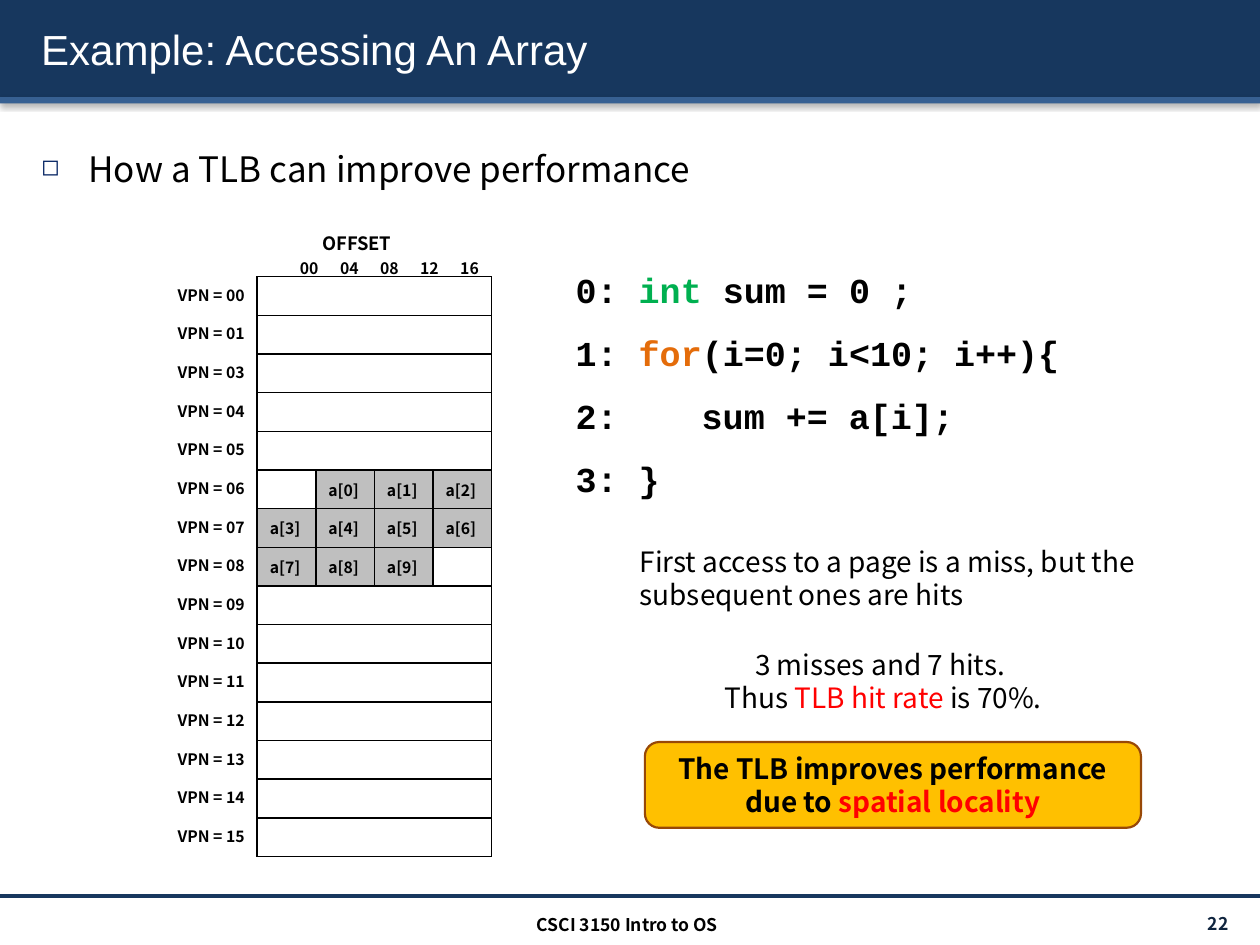
from lxml.etree import SubElement
from pptx import Presentation
from pptx.dml.color import RGBColor
from pptx.enum.shapes import MSO_CONNECTOR as CONN, MSO_SHAPE as SHAPE
from pptx.enum.text import MSO_ANCHOR as ANCHOR, PP_ALIGN as ALIGN
from pptx.oxml.ns import qn
from pptx.util import Pt

BLACK = RGBColor(0x00, 0x00, 0x00)
WHITE = RGBColor(0xFF, 0xFF, 0xFF)
NAVY = RGBColor(0x17, 0x37, 0x5E)
BLUE = RGBColor(0x37, 0x60, 0x92)
DARK = RGBColor(0x0F, 0x24, 0x3E)
BULLET = RGBColor(0x00, 0x20, 0x60)
GRAY = RGBColor(0xBF, 0xBF, 0xBF)
GREEN = RGBColor(0x00, 0xB0, 0x50)
ORANGE = RGBColor(0xE4, 0x6C, 0x0A)
RED = RGBColor(0xFF, 0x00, 0x00)
GOLD = RGBColor(0xFF, 0xC0, 0x00)
BROWN = RGBColor(0x98, 0x48, 0x07)

SANS = "Noto Sans CJK KR"
CODE = "Courier New"

VPNS = ["00", "01"] + [f"{n:02}" for n in range(3, 16)]
OFFSETS = ["00", "04", "08", "12", "16"]
ARRAY_ROW, ARRAY_START, ARRAY_LENGTH = 6, 1, 10
ARRAY_ROWS = range(ARRAY_ROW, ARRAY_ROW + 3)


def set_all(obj, values):
    for name, value in values.items():
        setattr(obj, name, value)


def add_solid(parent, color):
    SubElement(SubElement(parent, qn("a:solidFill")), qn("a:srgbClr"), val=str(color))


def add_shadow(effects, blur, dist, angle, alpha):
    shadow = SubElement(effects, qn("a:outerShdw"), blurRad=str(Pt(blur)),
                        dist=str(Pt(dist)), dir=str(angle * 60000), rotWithShape="0")
    clr = SubElement(shadow, qn("a:srgbClr"), val=str(BLACK))
    SubElement(clr, qn("a:alpha"), val=str(alpha * 1000))


class SlideBuilder:
    def __init__(self, slide, font):
        self.s = slide
        self.font = font

    def add_run(self, p, text, color, **font):
        r = p.add_run()
        r.text = text
        set_all(r.font, {"name": self.font, **font})
        r.font.color.rgb = color

    def fill_text(self, tf, paragraphs, para=None, **font):
        for i, runs in enumerate(paragraphs):
            p = tf.paragraphs[0] if i == 0 else tf.add_paragraph()
            set_all(p, para or {})
            for text, color in runs:
                self.add_run(p, text, color, **font)

    def text(self, box, paragraphs, para=None, frame=None, **font):
        sp = self.s.shapes.add_textbox(*map(Pt, box))
        set_all(sp.text_frame, {"word_wrap": True, **(frame or {})})
        self.fill_text(sp.text_frame, paragraphs, para, **font)
        return sp

    def shape(self, kind, box, fill=None, line=None, shadow=False):
        sp = self.s.shapes.add_shape(kind, *map(Pt, box))
        sp.shadow.inherit = False
        if fill is None:
            sp.fill.background()
        else:
            sp.fill.solid()
            sp.fill.fore_color.rgb = fill
        if line is None:
            sp.line.fill.background()
        else:
            sp.line.color.rgb, sp.line.width = line, Pt(1.25)
        if shadow:
            add_shadow(sp._element.spPr.find(qn("a:effectLst")), 3.1, 1.6, 90, 38)
        return sp

    def label(self, kind, box, paragraphs, para, frame, fill=None, line=None, **font):
        sp = self.shape(kind, box, fill, line)
        set_all(sp.text_frame, {"word_wrap": True, "vertical_anchor": ANCHOR.MIDDLE, **frame})
        self.fill_text(sp.text_frame, paragraphs, para, **font)

    def rule(self, x1, y1, x2, y2, color, width):
        cx = self.s.shapes.add_connector(CONN.STRAIGHT, *map(Pt, (x1, y1, x2, y2)))
        cx.line.color.rgb, cx.line.width = color, Pt(width)
        SubElement(cx._element.spPr, qn("a:effectLst"))

    def bullet(self, box, text, size):
        sp = self.text(box, [[]])
        p = sp.text_frame.paragraphs[0]
        p.line_spacing = 1.5
        pPr = p._p.get_or_add_pPr()
        pPr.set("marL", str(Pt(27)))
        pPr.set("indent", str(Pt(-27)))
        SubElement(SubElement(pPr, qn("a:buClr")), qn("a:srgbClr"), val=str(BULLET))
        SubElement(pPr, qn("a:buSzPct"), val="65000")
        SubElement(pPr, qn("a:buChar"), char="◻")
        self.add_run(p, text, BLACK, size=size)

    def cell(self, cell, text="", fill=None, para=None, borders=None, anchor=ANCHOR.TOP):
        tcPr = cell._tc.get_or_add_tcPr()
        for side in "LRTB":
            color = (borders or {}).get(side)
            ln = SubElement(tcPr, qn(f"a:ln{side}"), w=str(Pt(1)))
            if color is None:
                SubElement(ln, qn("a:noFill"))
            else:
                add_solid(ln, color)
        if fill is None:
            cell.fill.background()
        else:
            cell.fill.solid()
            cell.fill.fore_color.rgb = fill
        cell.vertical_anchor = anchor
        if text:
            self.fill_text(cell.text_frame, [[(text, BLACK)]], para, size=Pt(9), bold=True)
        else:
            SubElement(cell.text_frame.paragraphs[0]._p, qn("a:endParaRPr"), sz="900")

    def offset_header(self, cell):
        tf = cell.text_frame
        p, offsets = tf.paragraphs[0], tf.add_paragraph()
        p._p.get_or_add_pPr().set("marL", str(Pt(39)))
        p.alignment = ALIGN.CENTER
        tabs = SubElement(offsets._p.get_or_add_pPr(), qn("a:tabLst"))
        for i in range(len(OFFSETS)):
            SubElement(tabs, qn("a:tab"), pos=str(Pt(81.5 + 22.9 * i)), algn="ctr")
        self.add_run(p, "OFFSET", BLACK, size=Pt(10.5), bold=True)
        self.add_run(offsets, "".join("\t" + o for o in OFFSETS), BLACK, size=Pt(9), bold=True)

    def page_table(self, x, y):
        rows, cols = len(VPNS) + 1, 5
        heights = [29.5] + [22.1] * len(VPNS)
        widths = [59] + [33.5] * 4
        table = self.s.shapes.add_table(rows, cols, *map(Pt, (x, y, sum(widths), sum(heights)))).table
        set_all(table, {"first_row": False, "horz_banding": False})
        for row, height in zip(table.rows, heights):
            row.height = Pt(height)
        for col, width in zip(table.columns, widths):
            col.width = Pt(width)
        for c in range(cols):
            self.cell(table.cell(0, c))
        table.cell(0, 0).merge(table.cell(0, 4))
        self.offset_header(table.cell(0, 0))
        for r, vpn in enumerate(VPNS, 1):
            edges = {"L": WHITE, "R": BLACK, "B": WHITE}
            if r > 1:
                edges["T"] = WHITE
            self.cell(table.cell(r, 0), f"VPN = {vpn}", para={"alignment": ALIGN.RIGHT}, borders=edges)
            for c in range(1, cols):
                i = (r - ARRAY_ROW) * 4 + c - 1 - ARRAY_START
                used = 0 <= i < ARRAY_LENGTH
                self.cell(table.cell(r, c), f"a[{i}]" if used else "", GRAY if used else None,
                          borders=dict.fromkeys("LRTB", BLACK), anchor=ANCHOR.MIDDLE)
            if r not in ARRAY_ROWS:
                table.cell(r, 1).merge(table.cell(r, 4))


def main():
    prs = Presentation()
    prs.slide_width, prs.slide_height = Pt(720), Pt(540)
    b = SlideBuilder(prs.slides.add_slide(prs.slide_layouts[6]), SANS)
    center = {"alignment": ALIGN.CENTER}
    middle = {"vertical_anchor": ANCHOR.MIDDLE}

    b.shape(SHAPE.RECTANGLE, (0, 0, 720, 55.5), NAVY, shadow=True)
    b.shape(SHAPE.RECTANGLE, (0, 55.5, 720, 3.6), BLUE, shadow=True)
    b.rule(0, 512, 720, 512, NAVY, 2)
    b.bullet((16.5, 69, 692, 433), "How a TLB can improve performance", Pt(20))
    title = b.text((16.5, 5, 692, 46), [[("Example: Accessing An Array", WHITE)]],
                   frame=middle, size=Pt(24), name="Arial")
    fill = title.text_frame.paragraphs[0].runs[0]._r.rPr.find(qn("a:solidFill"))
    effects = SubElement(fill.getparent(), qn("a:effectLst"))
    fill.addnext(effects)
    add_shadow(effects, 3, 1.5, 45, 60)

    b.page_table(88, 127.5)
    b.text((627, 519, 82, 17.5), [[("22", DARK)]], {"alignment": ALIGN.RIGHT}, middle,
           size=Pt(10), bold=True)
    b.text((239, 518.5, 239, 17.5), [[("CSCI 3150 Intro to OS", BLACK)]], center,
           size=Pt(10), bold=True)

    code = [[("0:\t", BLACK), ("int ", GREEN), ("sum = 0 ;", BLACK)],
            [("1:\t", BLACK), ("for", ORANGE), ("(i=0; i<10; i++){", BLACK)],
            [("2:\t\tsum += a[i];", BLACK)],
            [("3:\t}", BLACK)]]
    b.label(SHAPE.RECTANGLE, (309, 137, 380, 152.5), code,
            {"alignment": ALIGN.LEFT, "line_spacing": 1.5}, {"margin_left": Pt(20)},
            WHITE, size=Pt(20), name=CODE, bold=True)

    inset = {"margin_left": Pt(8.6), "margin_right": Pt(8.6)}
    b.label(SHAPE.ROUNDED_RECTANGLE, (363, 363.5, 283.5, 51),
            [[("3 misses and 7 hits. ", BLACK)],
             [("Thus ", BLACK), ("TLB hit rate ", RED), ("is 70%.", BLACK)]],
            center, inset, size=Pt(16))
    b.label(SHAPE.ROUNDED_RECTANGLE, (368.5, 424, 283.5, 49),
            [[("The TLB improves performance", BLACK)],
             [("due to ", BLACK), ("spatial locality", RED)]],
            center, inset, GOLD, BROWN, size=Pt(16), bold=True)
    b.text((358.5, 307.5, 304, 46),
           [[("First access to a page is a miss, but the subsequent ones are hits", BLACK)]],
           size=Pt(16))
    prs.save("out.pptx")


if __name__ == "__main__":
    main()
